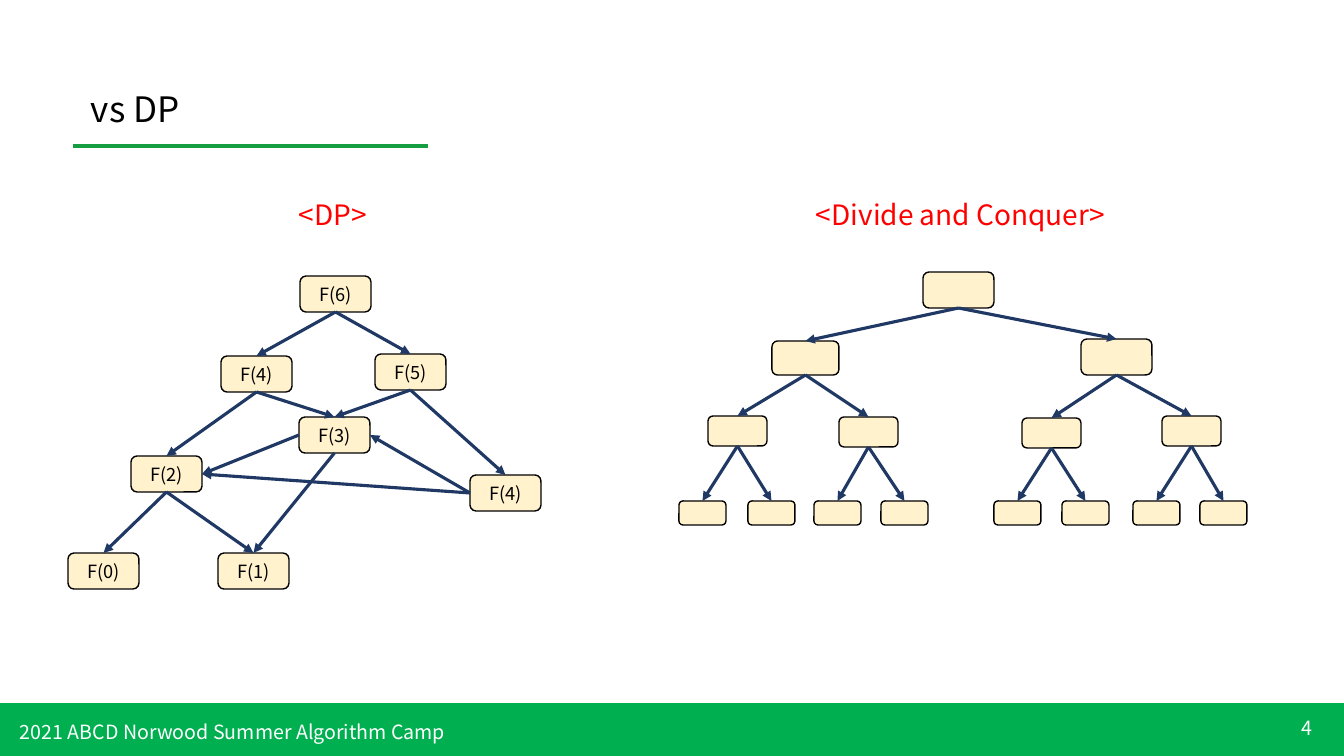
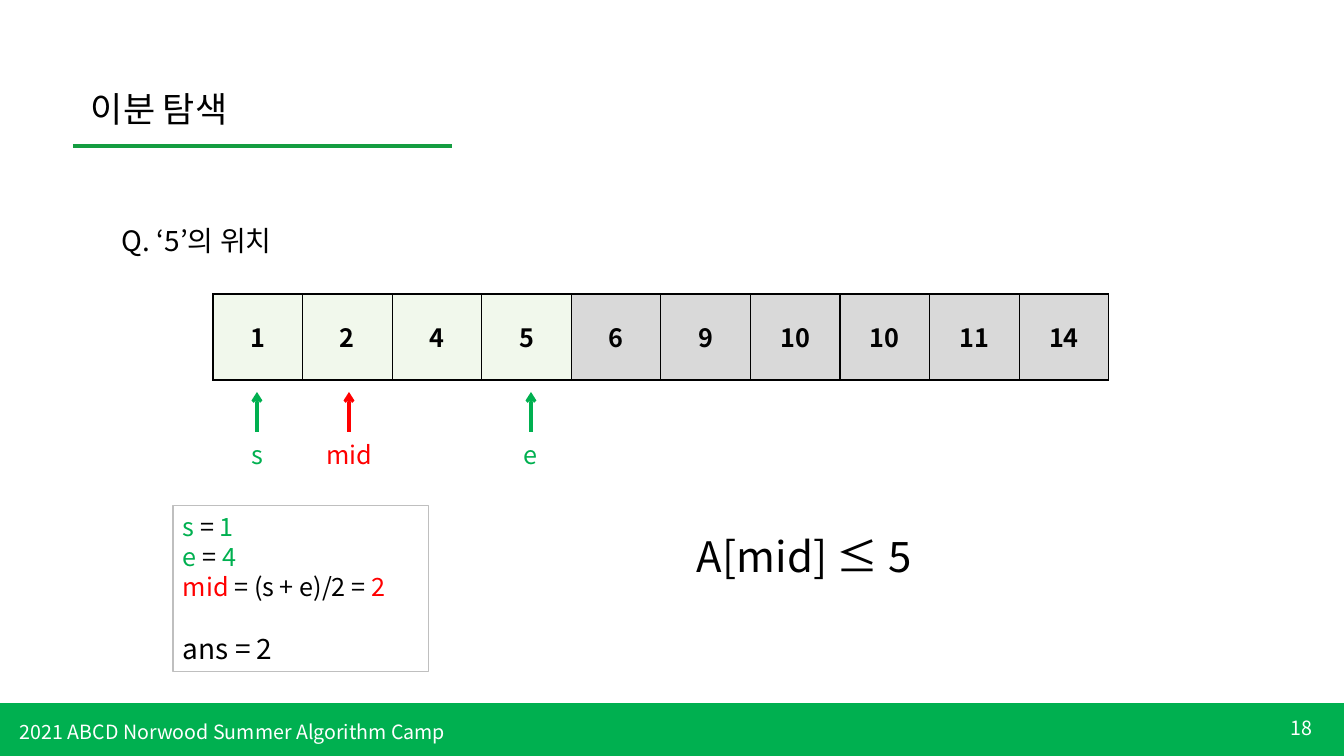
"""Build two algorithm lecture slides: DP against divide and conquer, and binary search."""
from dataclasses import dataclass

from lxml import etree
from pptx import Presentation
from pptx.dml.color import RGBColor
from pptx.enum.shapes import MSO_CONNECTOR, MSO_SHAPE
from pptx.enum.text import MSO_ANCHOR, PP_ALIGN
from pptx.oxml.ns import qn
from pptx.util import Pt

RECT, ROUNDED = MSO_SHAPE.RECTANGLE, MSO_SHAPE.ROUNDED_RECTANGLE
STRAIGHT = MSO_CONNECTOR.STRAIGHT
LEFT, CENTER, RIGHT = PP_ALIGN.LEFT, PP_ALIGN.CENTER, PP_ALIGN.RIGHT
TOP, MIDDLE = MSO_ANCHOR.TOP, MSO_ANCHOR.MIDDLE
TOP_SITE, LEFT_SITE, BOTTOM_SITE, RIGHT_SITE = range(4)

WIDTH, HEIGHT = 1344, 756
EMU_PER_PX = 12192000 / WIDTH
FONT = "Noto Sans CJK KR"
FOOTER = "2021 ABCD Norwood Summer Algorithm Camp"
BLACK, WHITE, RED, GREEN = "000000", "FFFFFF", "FF0000", "00B050"
RULE_GREEN, NAVY, CREAM = "159D41", "203864", "FFF2CC"
ACTIVE, INACTIVE, FRAME_GRAY = "F1F8EC", "D9D9D9", "BFBFBF"


@dataclass(frozen=True)
class Node:
    """A rounded box placed by its horizontal centre and top."""
    center: int
    top: int
    width: int = 71
    height: int = 36
    label: str = ""


@dataclass(frozen=True)
class Edge:
    """An arrow between connection sites of two numbered nodes."""
    start: int
    end: int
    start_site: int = BOTTOM_SITE
    end_site: int = TOP_SITE


@dataclass(frozen=True)
class Pointer:
    """A labelled arrow under an array cell."""
    label: str
    center: int
    color: str


F6, F4, F5, F2, F3, F4_RIGHT, F0, F1 = range(8)
DP_NODES = [
    Node(335, 276, label="F(6)"), Node(256, 356, label="F(4)"),
    Node(410, 354, label="F(5)"), Node(166, 456, label="F(2)"),
    Node(334, 417, label="F(3)"), Node(505, 475, label="F(4)"),
    Node(103, 553, label="F(0)"), Node(253, 553, label="F(1)"),
]
DP_EDGES = [
    Edge(F6, F4), Edge(F6, F5), Edge(F4, F2), Edge(F4, F3),
    Edge(F2, F0), Edge(F2, F1), Edge(F3, F1), Edge(F5, F3), Edge(F5, F4_RIGHT),
    Edge(F4_RIGHT, F2, LEFT_SITE, RIGHT_SITE),
    Edge(F4_RIGHT, F3, LEFT_SITE, RIGHT_SITE),
    Edge(F3, F2, LEFT_SITE, RIGHT_SITE),
]
LEAF_CENTERS = (702, 771, 837, 904, 1017, 1085, 1156, 1223)
TREE_NODES = [
    Node(958, 272), Node(805, 341, 67, 34), Node(1116, 339),
    Node(737, 416, 59, 30), Node(868, 417, 59, 30),
    Node(1051, 418, 59, 30), Node(1191, 416, 59, 30),
    *(Node(center, 501, 47, 24) for center in LEAF_CENTERS),
]
TREE_EDGES = [Edge((child - 1) // 2, child) for child in range(1, len(TREE_NODES))]

ARRAY = (1, 2, 4, 5, 6, 9, 10, 10, 11, 14)
ACTIVE_COUNT = 4
POINTERS = [Pointer("s", 257, GREEN), Pointer("mid", 349, RED), Pointer("e", 531, GREEN)]
STATE_LINES = [
    [("s", GREEN), (" = ", BLACK), ("1", GREEN)],
    [("e", GREEN), (" = ", BLACK), ("4", GREEN)],
    [("mid", RED), (" = (s + e)/2 = ", BLACK), ("2", RED)],
]


def px(length: int) -> int:
    """Turn pixels into EMU."""
    return round(length * EMU_PER_PX)


def rgb(color: str) -> RGBColor:
    """Turn a hex string into a colour."""
    return RGBColor.from_string(color)


def write(paragraph, text: str, *, size: float, color: str = BLACK,
          bold: bool = False, align=LEFT) -> None:
    """Append formatted text to a paragraph."""
    paragraph.alignment = align
    run = paragraph.add_run()
    run.text = text
    font = run.font
    font.size, font.bold, font.name = Pt(size), bold, FONT
    font.color.rgb = rgb(color)
    latin = font._element.find(qn("a:latin"))
    east_asian = etree.Element(qn("a:ea"), typeface=FONT)
    latin.addnext(east_asian)


def add_label(slide, text: str, left: int, top: int, width: int, height: int,
              *, anchor=TOP, **style) -> None:
    """Place one line of text."""
    frame = slide.shapes.add_textbox(px(left), px(top), px(width), px(height)).text_frame
    frame.word_wrap = True
    frame.vertical_anchor = anchor
    write(frame.paragraphs[0], text, **style)


def add_box(slide, kind, left: int, top: int, width: int, height: int,
            *, fill: str = "", line: str = BLACK, weight: float = 1):
    """Draw a preset shape, unfilled when no fill is given."""
    box = slide.shapes.add_shape(kind, px(left), px(top), px(width), px(height))
    box.shadow.inherit = False
    if fill:
        box.fill.solid()
        box.fill.fore_color.rgb = rgb(fill)
    else:
        box.fill.background()
    box.line.color.rgb = rgb(line)
    box.line.width = Pt(weight)
    return box


def add_line(slide, x1: int, y1: int, x2: int, y2: int, *, color: str, head: str = ""):
    """Draw a straight line with an optional arrowhead."""
    line = slide.shapes.add_connector(STRAIGHT, px(x1), px(y1), px(x2), px(y2))
    line.line.color.rgb = rgb(color)
    line.line.width = Pt(2.25)
    if head:
        etree.SubElement(line.line._get_or_add_ln(), qn("a:tailEnd"), type=head)
    etree.SubElement(line._element.spPr, qn("a:effectLst"))
    return line


def add_graph(slide, nodes: list[Node], edges: list[Edge]) -> None:
    """Draw nodes and the arrows glued to them."""
    boxes = []
    for node in nodes:
        box = add_box(slide, ROUNDED, node.center - node.width // 2, node.top,
                      node.width, node.height, fill=CREAM)
        if node.label:
            box.text_frame.vertical_anchor = MIDDLE
            write(box.text_frame.paragraphs[0], node.label, size=13, align=CENTER)
        boxes.append(box)
    for edge in edges:
        arrow = add_line(slide, 0, 0, 0, 0, color=NAVY, head="triangle")
        arrow.begin_connect(boxes[edge.start], edge.start_site)
        arrow.end_connect(boxes[edge.end], edge.end_site)


def add_array(slide, left: int, top: int, width: int, height: int) -> None:
    """Draw the searched array as a one-row table."""
    table = slide.shapes.add_table(1, len(ARRAY), px(left), px(top), px(width), px(height)).table
    table.first_row = table.horz_banding = False
    for index, value in enumerate(ARRAY):
        table.columns[index].width = px(width) // len(ARRAY)
        cell = table.cell(0, index)
        cell.vertical_anchor = MIDDLE
        cell.fill.solid()
        cell.fill.fore_color.rgb = rgb(ACTIVE if index < ACTIVE_COUNT else INACTIVE)
        write(cell.text_frame.paragraphs[0], str(value), size=18, bold=True, align=CENTER)
        properties = cell._tc.get_or_add_tcPr()
        for position, side in enumerate("LRTB"):
            border = etree.Element(qn(f"a:ln{side}"), w=str(Pt(1)))
            fill = etree.SubElement(border, qn("a:solidFill"))
            etree.SubElement(fill, qn("a:srgbClr"), val=BLACK)
            properties.insert(position, border)


def add_state(slide) -> None:
    """Draw the framed list of search variables."""
    box = add_box(slide, RECT, 173, 506, 256, 166, line=FRAME_GRAY, weight=0.75)
    frame = box.text_frame
    frame.word_wrap = True
    frame.vertical_anchor = TOP
    for index, parts in enumerate(STATE_LINES):
        paragraph = frame.add_paragraph() if index else frame.paragraphs[0]
        for text, color in parts:
            write(paragraph, text, size=18, color=color)
    answer = frame.add_paragraph()
    answer.space_before = Pt(21)
    write(answer, "ans = 2", size=20)


def add_page(deck, title: str, number: int, rule_end: int):
    """Add a slide with the shared title, rule and footer."""
    slide = deck.slides.add_slide(deck.slide_layouts[6])
    add_box(slide, RECT, 0, 704, WIDTH, HEIGHT - 704, fill=GREEN, line=GREEN)
    add_label(slide, str(number), 1221, 708, 101, 40, anchor=MIDDLE,
              size=14, color=WHITE, align=RIGHT)
    add_label(slide, FOOTER, 10, 715, 581, 34, size=14, color=WHITE)
    add_line(slide, 73, 146, rule_end, 146, color=RULE_GREEN)
    add_label(slide, title, 81, 83, 371, 52, size=25)
    return slide


def add_comparison(deck) -> None:
    """Build the comparison of DP with divide and conquer."""
    slide = add_page(deck, "vs DP", 4, 428)
    add_label(slide, "<DP>", 289, 193, 113, 44, size=20, color=RED)
    add_graph(slide, DP_NODES, DP_EDGES)
    add_label(slide, "<Divide and Conquer>", 806, 193, 328, 44, size=20, color=RED)
    add_graph(slide, TREE_NODES, TREE_EDGES)


def add_binary_search(deck) -> None:
    """Build the binary search step."""
    slide = add_page(deck, "이분 탐색", 18, 452)
    add_label(slide, "Q. ‘5’의 위치", 112, 219, 276, 44, size=20)
    add_array(slide, 213, 294, 896, 86)
    for pointer in POINTERS:
        add_line(slide, pointer.center, 432, pointer.center, 392,
                 color=pointer.color, head="arrow")
        add_label(slide, pointer.label, pointer.center - 36, 434, 72, 40,
                  size=18, color=pointer.color, align=CENTER)
    add_state(slide)
    add_label(slide, "A[mid] ≤ 5", 687, 526, 256, 61, size=30)


def main() -> None:
    """Build and save the deck."""
    deck = Presentation()
    deck.slide_width, deck.slide_height = px(WIDTH), px(HEIGHT)
    add_comparison(deck)
    add_binary_search(deck)
    deck.save("out.pptx")


if __name__ == "__main__":
    main()
